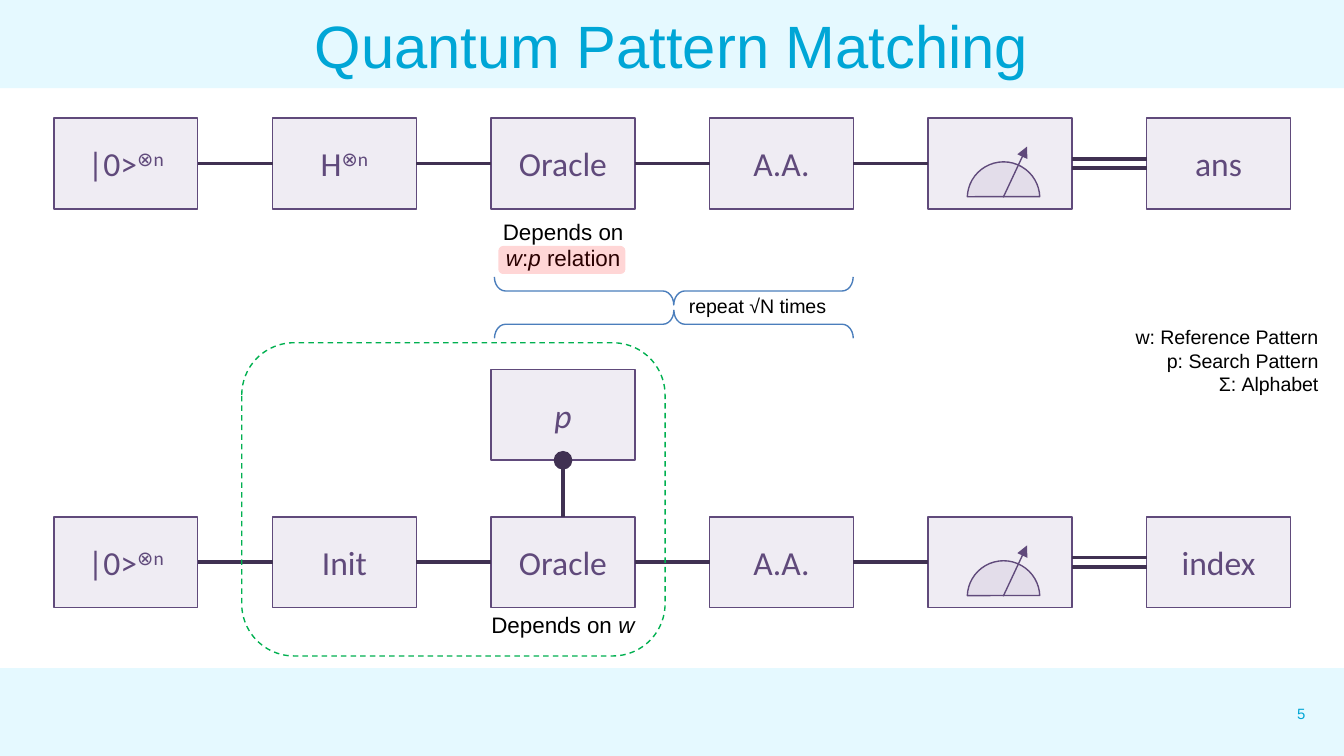
from typing import NamedTuple, Optional

from lxml import etree
from pptx import Presentation
from pptx.dml.color import RGBColor
from pptx.enum import dml, shapes, text
from pptx.oxml import ns
from pptx.util import Cm, Pt

COLORS = {
    "band": "E5F9FF", "title": "00A6D6", "gate": "B3A2C7", "edge": "604A7B",
    "wire": "403152", "black": "000000", "highlight": "FF0000",
    "group": "00B050", "brace": "4B7EBC",
}
SHAPE = shapes.MSO_SHAPE
ALIGN = text.PP_ALIGN
LEFT, PITCH, GATE_W, GATE_H = 1.02, 4.13, 2.72, 1.72
SLIDE_W, SLIDE_H = 25.4, 14.29


class Part(NamedTuple):
    words: str
    italic: bool = False
    raised: bool = False


class Frame(NamedTuple):
    left: float
    top: float
    width: float
    height: float


class Circuit(NamedTuple):
    top: float
    gates: list


class Label(NamedTuple):
    frame: Frame
    lines: list
    size: float
    align: ALIGN = ALIGN.CENTER
    color: str = "black"
    anchor: text.MSO_ANCHOR = text.MSO_ANCHOR.TOP


def rgb(name: str) -> RGBColor:
    return RGBColor.from_string(COLORS[name])


def write(frame, lines: list, size: float, font: str, color: str, align: ALIGN) -> None:
    frame.word_wrap = True
    for index, parts in enumerate(lines):
        paragraph = frame.paragraphs[0] if index == 0 else frame.add_paragraph()
        paragraph.alignment = align
        for part in parts:
            run = paragraph.add_run()
            run.text = part.words
            run.font.name = font
            run.font.size = Pt(size)
            run.font.color.rgb = rgb(color)
            run.font.italic = part.italic
            if part.raised:
                run._r.get_or_add_rPr().set("baseline", "30000")


def draw_label(slide, label: Label) -> None:
    box = slide.shapes.add_textbox(*map(Cm, label.frame))
    box.text_frame.vertical_anchor = label.anchor
    write(box.text_frame, label.lines, label.size, "Arial", label.color, label.align)


def draw_shape(slide, kind: SHAPE, frame: Frame, fill: Optional[str] = None,
               alpha: int = 100, line: Optional[str] = None):
    shape = slide.shapes.add_shape(kind, *map(Cm, frame))
    shape.shadow.inherit = False
    if fill:
        shape.fill.solid()
        shape.fill.fore_color.rgb = rgb(fill)
        if alpha < 100:
            color = shape.fill._xPr.find(".//" + ns.qn("a:srgbClr"))
            etree.SubElement(color, ns.qn("a:alpha")).set("val", str(alpha * 1000))
    else:
        shape.fill.background()
    if line:
        shape.line.color.rgb = rgb(line)
        shape.line.width = Pt(0.75)
    else:
        shape.line.fill.background()
    return shape


def draw_line(slide, x1: float, y1: float, x2: float, y2: float, color: str = "wire",
              width: float = 2, tail: Optional[str] = None, tail_size: str = "med"):
    line = slide.shapes.add_connector(
        shapes.MSO_CONNECTOR.STRAIGHT, *map(Cm, (x1, y1, x2, y2)))
    line.line.color.rgb = rgb(color)
    line.line.width = Pt(width)
    if tail:
        etree.SubElement(line.line._get_or_add_ln(), ns.qn("a:tailEnd"),
                         type=tail, w=tail_size, len=tail_size)
    etree.SubElement(line._element.spPr, ns.qn("a:effectLst"))
    return line


def draw_gate(slide, column: int, top: float, parts: list):
    frame = Frame(LEFT + column * PITCH, top, GATE_W, GATE_H)
    gate = draw_shape(slide, SHAPE.RECTANGLE, frame, "gate", 20, "edge")
    if parts:
        gate.text_frame.vertical_anchor = text.MSO_ANCHOR.MIDDLE
        write(gate.text_frame, [parts], 18, "Calibri", "edge", ALIGN.CENTER)
    return gate


def draw_meter(slide, left: float, top: float) -> None:
    dial = draw_shape(slide, SHAPE.CHORD, Frame(left + 0.74, top + 0.83, 1.37, 1.37),
                      "gate", 20, "edge")
    dial.rotation = 90
    dial.adjustments[0], dial.adjustments[1] = 55.3, 160.62
    draw_line(slide, left + 1.42, top + 1.5, left + 1.87, top + 0.54,
              "edge", 0.75, "triangle")


def join(slide, start, start_site: int, end, end_site: int, **style) -> None:
    wire = draw_line(slide, 0, 0, 0, 0, **style)
    wire.begin_connect(start, start_site)
    wire.end_connect(end, end_site)


def draw_circuit(slide, circuit: Circuit) -> list:
    gates = [draw_gate(slide, column, circuit.top, parts)
             for column, parts in enumerate(circuit.gates)]
    for column, (gate, following) in enumerate(zip(gates, gates[1:])):
        left = LEFT + column * PITCH
        if circuit.gates[column]:
            join(slide, gate, 3, following, 1)
        else:
            draw_meter(slide, left, circuit.top)
            for offset in (-0.09, 0.09):
                y = circuit.top + GATE_H / 2 + offset
                draw_line(slide, left + GATE_W, y, left + PITCH, y)
    return gates


def main() -> None:
    deck = Presentation()
    deck.slide_width, deck.slide_height = Cm(SLIDE_W), Cm(SLIDE_H)
    slide = deck.slides.add_slide(deck.slide_layouts[6])

    header = Frame(0, 0, SLIDE_W, 1.67)
    draw_shape(slide, SHAPE.RECTANGLE, Frame(0, 12.63, SLIDE_W, 1.66), "band")
    draw_shape(slide, SHAPE.RECTANGLE, header, "band")

    state = [Part("|0>"), Part("⊗n", raised=True)]
    hadamard = [Part("H"), Part("⊗n", raised=True)]
    oracle, amplification, meter = [Part("Oracle")], [Part("A.A.")], []
    general = Circuit(2.23, [state, hadamard, oracle, amplification, meter, [Part("ans")]])
    matching = Circuit(9.77, [state, [Part("Init")], oracle, amplification, meter,
                              [Part("index")]])
    draw_circuit(slide, general)
    matching_gates = draw_circuit(slide, matching)
    pattern = draw_gate(slide, 2, 6.98, [Part("p", italic=True)])
    join(slide, matching_gates[2], 0, pattern, 2, tail="oval", tail_size="lg")

    middle = text.MSO_ANCHOR.MIDDLE
    relation = [Part("w", True), Part(":"), Part("p", True), Part(" relation")]
    legend = ["w: Reference Pattern", "p: Search Pattern", "Σ: Alphabet"]
    labels = [
        Label(header, [[Part("Quantum Pattern Matching")]], 32, color="title", anchor=middle),
        Label(Frame(22.3, 13.11, 2.62, 0.76), [[Part("5")]], 8, ALIGN.RIGHT, "title", middle),
        Label(Frame(8.22, 3.99, 4.85, 1.27), [[Part("Depends on")], relation], 12),
        Label(Frame(20.83, 6.02, 4.34, 1.6), [[Part(row)] for row in legend], 10.5,
              ALIGN.RIGHT),
        Label(Frame(8.94, 11.43, 3.4, 0.76), [[Part("Depends on "), Part("w", True)]], 12),
        Label(Frame(12.77, 5.44, 3.64, 0.66), [[Part("repeat √N times")]], 10.5, ALIGN.LEFT),
    ]
    for label in labels:
        draw_label(slide, label)

    draw_shape(slide, SHAPE.ROUNDED_RECTANGLE, Frame(9.42, 4.65, 2.4, 0.53), "highlight", 16)
    group = draw_shape(slide, SHAPE.ROUNDED_RECTANGLE, Frame(4.57, 6.48, 8, 5.92), line="group")
    group.line.dash_style = dml.MSO_LINE.DASH
    for top, rotation in ((2.11, 270), (2.74, 90)):
        brace = draw_shape(slide, SHAPE.LEFT_BRACE, Frame(12.47, top, 0.53, 6.78), line="brace")
        brace.rotation = rotation
        brace.adjustments[0] = 0.39

    deck.save("out.pptx")


if __name__ == "__main__":
    main()
